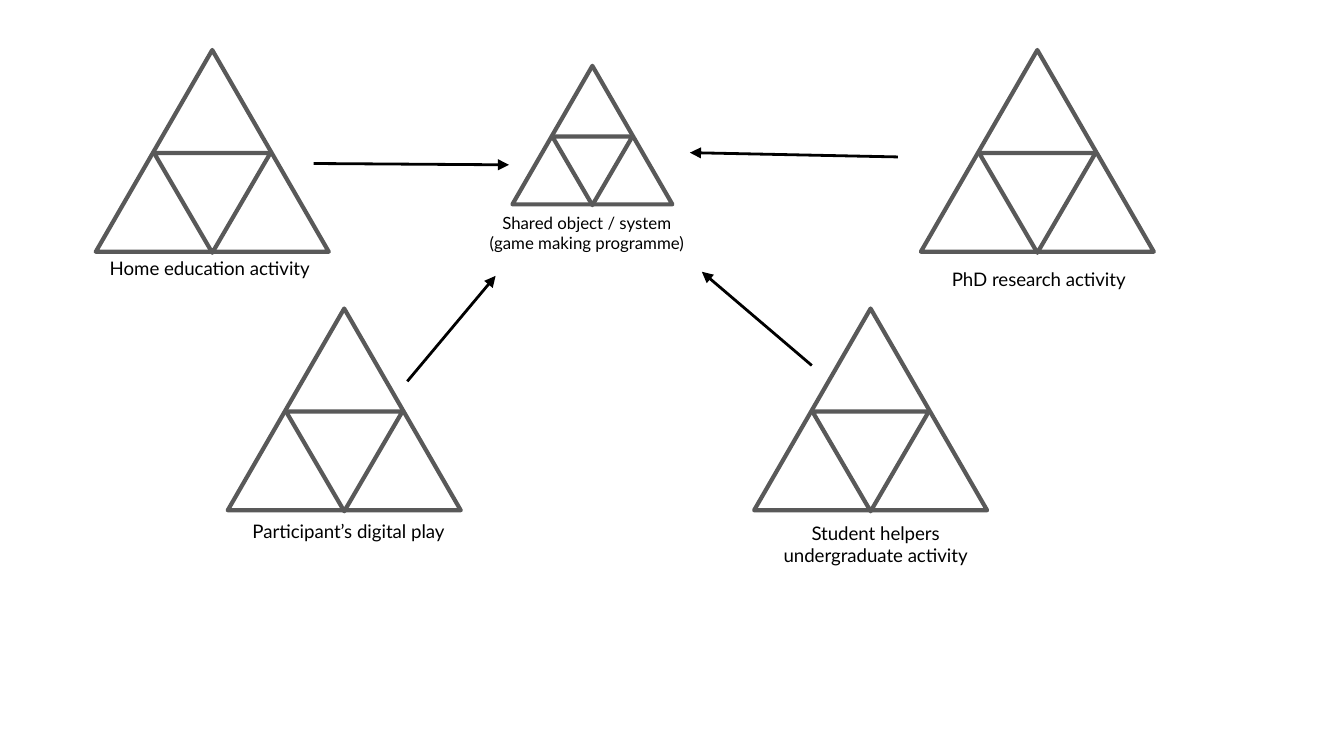
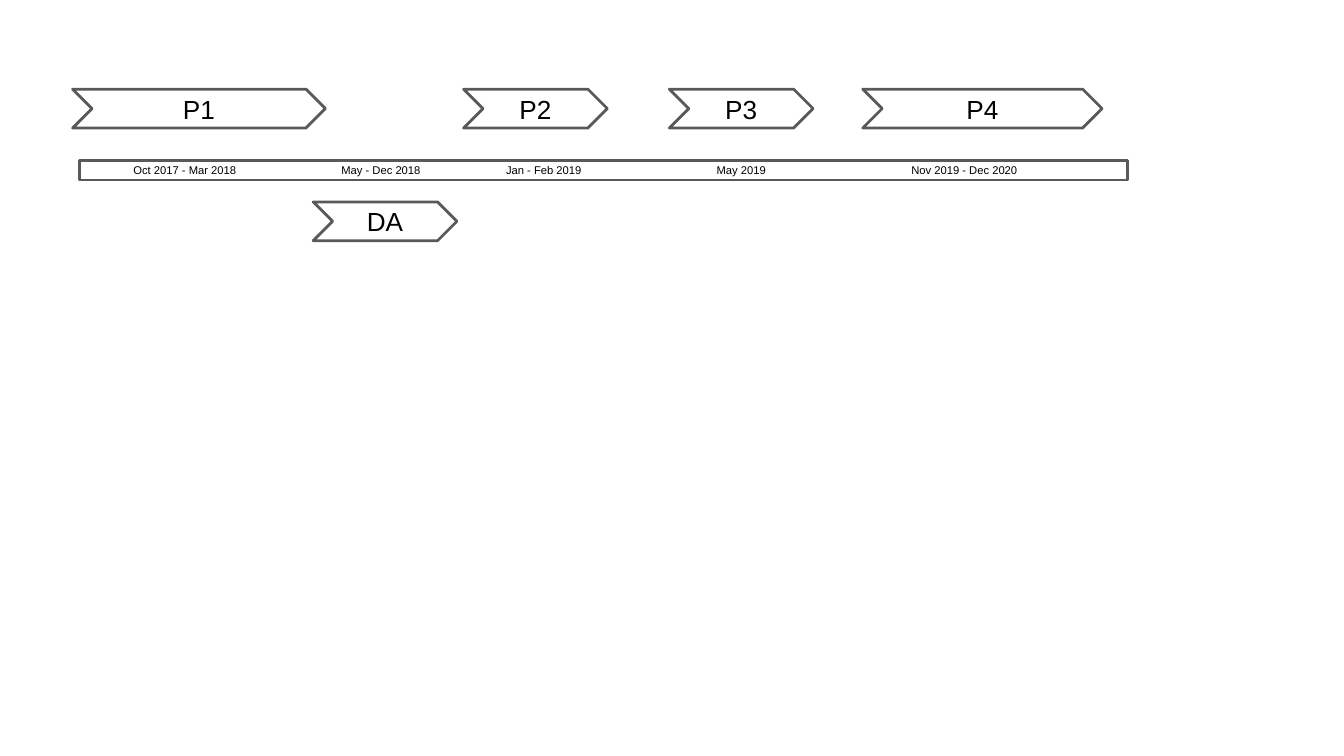
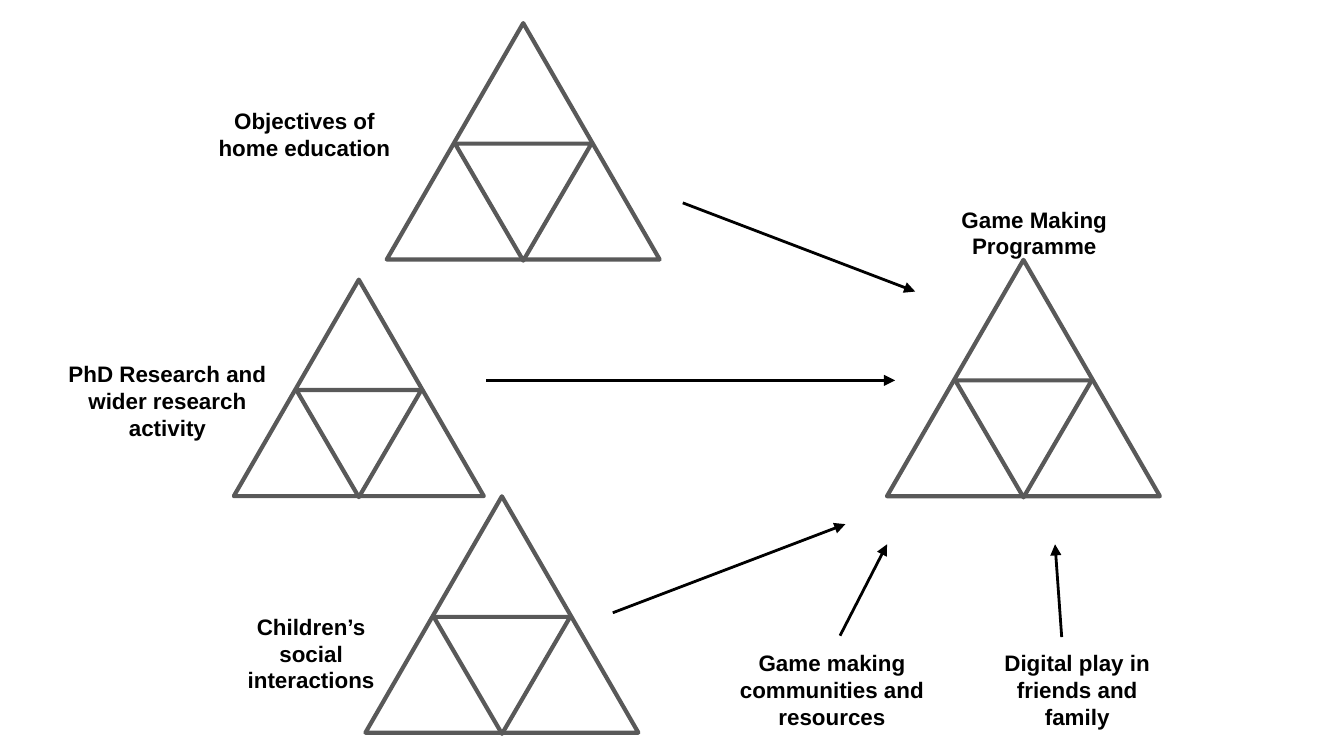
from dataclasses import dataclass
from math import sqrt

from lxml.etree import SubElement
from pptx import Presentation
from pptx.dml.color import RGBColor
from pptx.enum.shapes import MSO_CONNECTOR, MSO_SHAPE
from pptx.enum.text import MSO_ANCHOR, PP_ALIGN
from pptx.oxml.ns import qn
from pptx.util import Pt

# Shared look
BLACK = RGBColor(0x00, 0x00, 0x00)
WHITE = RGBColor(0xFF, 0xFF, 0xFF)
GREY = RGBColor(0x59, 0x59, 0x59)
TEXT_INSET = Pt(7.2)
TRIANGLE_LINE = 2.25
THIN_LINE = 1.5
LABEL_HEIGHT = 36

# Timeline rows
CHEVRON_HEIGHT = 20.8
PHASE_TOP = 47.8
ANALYSIS_TOP = 108.2
DATE_TOP, DATE_WIDTH, DATE_HEIGHT = 86.1, 81.4, 10.4


@dataclass(frozen=True)
class ActivityTriangle:
    left: float
    top: float
    width: float


@dataclass(frozen=True)
class Label:
    text: str
    left: float
    top: float
    width: float
    size: float
    font: str = "Arial"
    bold: bool = False


@dataclass(frozen=True)
class Arrow:
    start_x: float
    start_y: float
    end_x: float
    end_y: float


@dataclass(frozen=True)
class Phase:
    text: str
    left: float
    top: float
    width: float


@dataclass(frozen=True)
class DateLabel:
    text: str
    left: float


def write_text(shape, text: str, *, size: float, font: str = "Arial",
               bold: bool = False, anchor=MSO_ANCHOR.TOP) -> None:
    frame = shape.text_frame
    frame.word_wrap = True
    frame.vertical_anchor = anchor
    frame.margin_left = frame.margin_right = TEXT_INSET
    frame.margin_top = frame.margin_bottom = TEXT_INSET
    paragraph = frame.paragraphs[0]
    paragraph.alignment = PP_ALIGN.CENTER
    run = paragraph.add_run()
    run.text = text
    run.font.name = font
    run.font.size = Pt(size)
    run.font.bold = bold
    run.font.color.rgb = BLACK


def add_outline(shapes, kind, left: float, top: float, width: float, height: float,
                *, fill=None, line_width: float = 0):
    shape = shapes.add_shape(kind, Pt(left), Pt(top), Pt(width), Pt(height))
    shape.shadow.inherit = False
    if fill is None:
        shape.fill.background()
    else:
        shape.fill.solid()
        shape.fill.fore_color.rgb = fill
    if line_width:
        shape.line.color.rgb = GREY
        shape.line.width = Pt(line_width)
    else:
        shape.line.fill.background()
    return shape


def add_activity_triangle(slide, triangle: ActivityTriangle) -> None:
    """Equilateral triangle with an inverted one of half its width inside."""
    left, top, width = triangle.left, triangle.top, triangle.width
    height = width * sqrt(3) / 2
    group = slide.shapes.add_group_shape()
    add_outline(group.shapes, MSO_SHAPE.ISOSCELES_TRIANGLE, left, top, width, height,
                line_width=TRIANGLE_LINE)
    inner = add_outline(group.shapes, MSO_SHAPE.ISOSCELES_TRIANGLE,
                        left + width / 4, top + 0.51 * height, width / 2, 0.495 * height,
                        line_width=TRIANGLE_LINE)
    inner.rotation = 180


def add_label(slide, label: Label) -> None:
    box = slide.shapes.add_textbox(Pt(label.left), Pt(label.top),
                                   Pt(label.width), Pt(LABEL_HEIGHT))
    write_text(box, label.text, size=label.size, font=label.font, bold=label.bold)


def add_arrow(slide, arrow: Arrow) -> None:
    connector = slide.shapes.add_connector(
        MSO_CONNECTOR.STRAIGHT, Pt(arrow.start_x), Pt(arrow.start_y),
        Pt(arrow.end_x), Pt(arrow.end_y))
    connector.line.color.rgb = BLACK
    connector.line.width = Pt(THIN_LINE)
    SubElement(connector.line._get_or_add_ln(), qn("a:tailEnd"), type="triangle")
    SubElement(connector._element.spPr, qn("a:effectLst"))


def add_phase(slide, phase: Phase) -> None:
    chevron = add_outline(slide.shapes, MSO_SHAPE.CHEVRON, phase.left, phase.top,
                          phase.width, CHEVRON_HEIGHT, fill=WHITE, line_width=THIN_LINE)
    write_text(chevron, phase.text, size=14, anchor=MSO_ANCHOR.MIDDLE)


def add_date(slide, date: DateLabel) -> None:
    box = add_outline(slide.shapes, MSO_SHAPE.RECTANGLE, date.left, DATE_TOP,
                      DATE_WIDTH, DATE_HEIGHT, fill=WHITE)
    write_text(box, date.text, size=6, anchor=MSO_ANCHOR.MIDDLE)


def add_activity_map(slide, arrows: list[Arrow], triangles: list[ActivityTriangle],
                     labels: list[Label]) -> None:
    for arrow in arrows:
        add_arrow(slide, arrow)
    for triangle in triangles:
        add_activity_triangle(slide, triangle)
    for label in labels:
        add_label(slide, label)


def build_shared_object(slide) -> None:
    arrows = [
        Arrow(218.2, 204.3, 265.5, 147.8),
        Arrow(481, 84.1, 369.6, 81.8),
        Arrow(168, 87.6, 272.7, 88.3),
        Arrow(434.9, 195.8, 376, 145.6),
    ]
    triangles = [
        ActivityTriangle(274.5, 35.3, 85.7),
        ActivityTriangle(51.3, 26.8, 124.8),
        ActivityTriangle(122, 165.3, 124.8),
        ActivityTriangle(493.3, 26.8, 124.8),
        ActivityTriangle(404, 165.3, 124.8),
    ]
    labels = [
        Label("Home education activity", 45.4, 131.8, 133.9, 10, "Lato"),
        Label("PhD research activity", 494.2, 137.5, 124.6, 10, "Lato"),
        Label("Participant’s digital play", 124.4, 272.2, 124.6, 10, "Lato"),
        Label("Shared object / system (game making programme)",
              252, 106.6, 124.6, 9, "Lato"),
        Label("Student helpers undergraduate activity", 406.8, 272.2, 124.6, 10, "Lato"),
    ]
    add_activity_map(slide, arrows, triangles, labels)


def build_timeline(slide) -> None:
    phases = [
        Phase("P1", 38.9, PHASE_TOP, 135.4),
        Phase("P2", 248.4, PHASE_TOP, 77),
        Phase("P3", 358.6, PHASE_TOP, 77),
        Phase("P4", 462.2, PHASE_TOP, 128.2),
        Phase("DA", 167.8, ANALYSIS_TOP, 77),
    ]
    dates = [
        DateLabel("Oct 2017 - Mar 2018", 58.3),
        DateLabel("May - Dec 2018", 163.4),
        DateLabel("Jan - Feb 2019", 250.6),
        DateLabel("May 2019", 356.4),
        DateLabel("Nov 2019 - Dec 2020", 475.9),
    ]
    for phase in phases:
        add_phase(slide, phase)
    for date in dates:
        add_date(slide, date)
    # Frame around the dates
    add_outline(slide.shapes, MSO_SHAPE.RECTANGLE, 42.5, DATE_TOP, 561.6, DATE_HEIGHT,
                line_width=THIN_LINE)


def build_game_making(slide) -> None:
    arrows = [
        Arrow(328.3, 328.3, 452.9, 280.8),
        Arrow(260.6, 203.8, 479.5, 203.8),
        Arrow(365.8, 108.7, 490.3, 156.2),
        Arrow(450, 340.6, 475.2, 291.6),
        Arrow(568.8, 341.3, 565.2, 291.6),
    ]
    triangles = [
        ActivityTriangle(475.2, 139.2, 146.2),
        ActivityTriangle(195.8, 265.9, 146.2),
        ActivityTriangle(125.3, 149.8, 133.9),
        ActivityTriangle(207.2, 12.4, 146.2),
    ]
    labels = [
        Label("Objectives of home education", 103.7, 50.4, 118.8, 12, bold=True),
        Label("PhD Research and wider research activity",
              27.4, 185.8, 124.6, 12, bold=True),
        Label("Children’s social interactions", 115.2, 321.1, 103, 12, bold=True),
        Label("Game Making Programme", 502.6, 103, 103, 12, bold=True),
        Label("Game making communities and resources",
              387.4, 340.6, 116.6, 12, bold=True),
        Label("Digital play in friends and family", 525.6, 340.6, 103, 12, bold=True),
    ]
    add_activity_map(slide, arrows, triangles, labels)


def main() -> None:
    presentation = Presentation()
    presentation.slide_width = Pt(720)
    presentation.slide_height = Pt(405)
    blank_layout = presentation.slide_layouts[6]
    for build in (build_shared_object, build_timeline, build_game_making):
        build(presentation.slides.add_slide(blank_layout))
    presentation.save("out.pptx")


if __name__ == "__main__":
    main()
